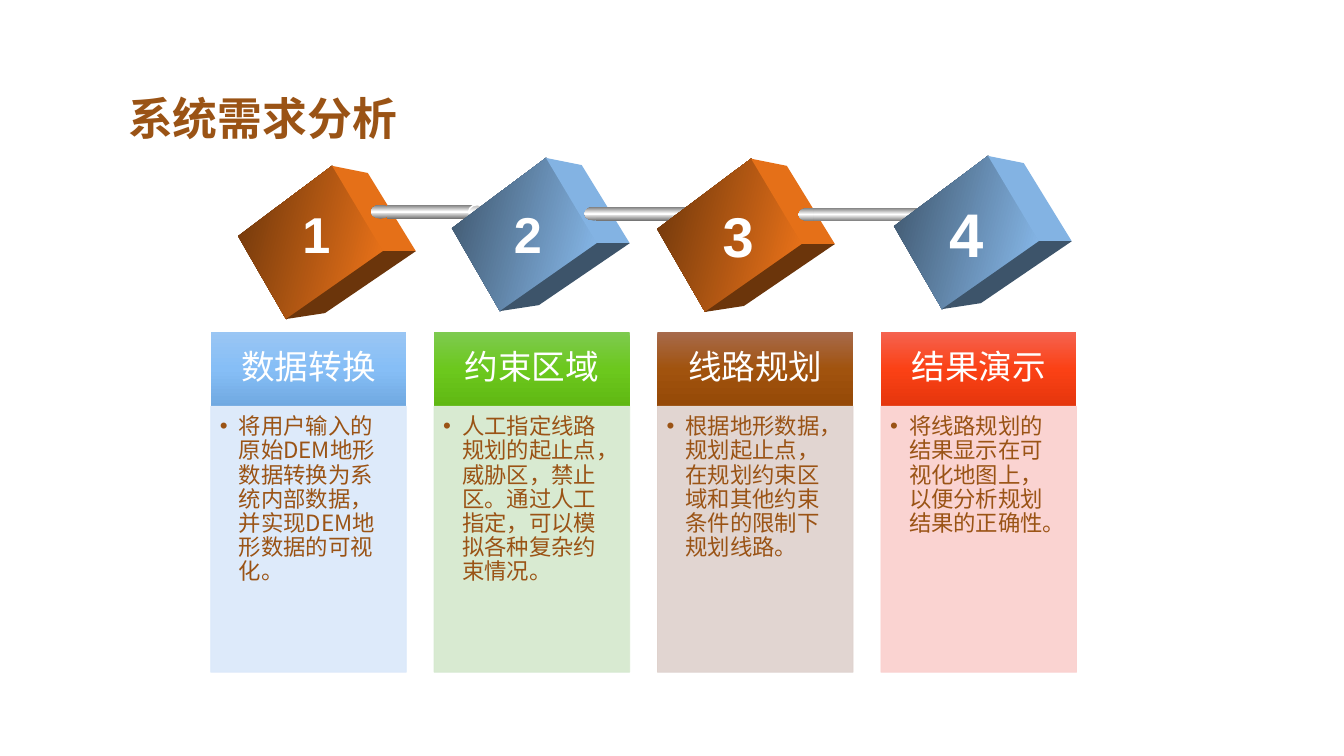
from lxml import etree
from pptx import Presentation
from pptx.dml.color import RGBColor
from pptx.enum.shapes import MSO_SHAPE as Shape
from pptx.enum.text import MSO_ANCHOR as Anchor, PP_ALIGN as Align
from pptx.oxml import parse_xml
from pptx.oxml.ns import nsdecls, qn
from pptx.util import Cm, Pt

BROWN, WHITE = "9A5315", "FFFFFF"
CJK = "Noto Sans CJK SC"
STEEL = ["767676", WHITE, "767676"]
SILVER = ["B6B6B6", WHITE, "B6B6B6"]

# Cube faces in hundredths of a centimetre, for the first cube
FRONT = [(600, 595), (837, 418), (965, 633), (721, 804)]
SIDE = [(837, 418), (927, 436), (1048, 633), (965, 633)]
BASE = [(965, 633), (1048, 633), (819, 789), (721, 804)]
ORANGE = (["6B350B", "F3771A"], "E57018", "6B350B")
BLUE = (["3D546A", "8BBEF1"], "83B3E3", "3D546A")

# Shift of the cube, its colours, then number, size and place of the number
CUBES = [
    ((0, 0), ORANGE, "1", 36, (7.37, 5.0)),
    ((539, -20), BLUE, "2", 36, (12.7, 4.98)),
    ((1056, -18), ORANGE, "3", 40, (17.96, 4.95)),
    ((1653, -25), BLUE, "4", 44, (23.67, 4.8)),
]

# Left, top, cap width, bar left, bar width, end left, end width, hole left
RODS = [
    (9.35, 5.16, 0.48, 9.75, 2.41, 11.81, 0.43, 12.07),
    (14.73, 5.21, 0.48, 15.01, 2.41, 17.2, 0.43, 17.45),
    (20.12, 5.23, 0.63, 20.5, 3.18, 23.37, 0.58, 23.67),
]

CARDS = [
    ("数据转换", ["9AC6F4", "86BEF6", "70A9E1"], "DAE8FA",
     "将用户输入的原始DEM地形数据转换为系统内部数据，并实现DEM地形数据的可视化。"),
    ("约束区域", ["7ECA50", "6CC81D", "60B813"], "D4E8CD",
     "人工指定线路规划的起止点，威胁区，禁止区。通过人工指定，可以模拟各种复杂约束情况。"),
    ("线路规划", ["A76A4C", "A1530E", "954907"], "DED1CC",
     "根据地形数据，规划起止点，在规划约束区域和其他约束条件的限制下规划线路。"),
    ("结果演示", ["F56350", "FB4115", "E5360D"], "FACFCD",
     "将线路规划的结果显示在可视化地图上，以便分析规划结果的正确性。"),
]


def hue(code):
    return RGBColor.from_string(code)


def write(shape, text, size=16, font="Arial", color=BROWN, bold=False,
          align=Align.LEFT, anchor=Anchor.TOP, pad=(0.25, 0.13, 0.25, 0.13),
          lead=None, bullet=False):
    frame = shape.text_frame
    frame.word_wrap = True
    frame.vertical_anchor = anchor
    frame.margin_left, frame.margin_top, frame.margin_right, frame.margin_bottom = map(Cm, pad)
    para = frame.paragraphs[0]
    para.alignment = align
    para.line_spacing = lead
    run = para.add_run()
    run.text = text
    run.font.size, run.font.bold = Pt(size), bold
    run.font.name = font
    run.font.color.rgb = hue(color)
    etree.SubElement(run.font._element, qn("a:ea"), typeface=CJK)
    if bullet:
        props = para._p.get_or_add_pPr()
        props.set("marL", str(Cm(0.48)))
        props.set("indent", str(Cm(-0.48)))
        etree.SubElement(props, qn("a:buFont"), typeface="Arial")
        etree.SubElement(props, qn("a:buChar"), char="•")


class Deck:
    def __init__(self):
        self.prs = Presentation()
        self.prs.slide_width, self.prs.slide_height = Cm(33.87), Cm(19.05)
        self.slide = self.prs.slides.add_slide(self.prs.slide_layouts[6])
        self.shapes = self.slide.shapes

    def paint(self, shape, fill, angle=90, line=None, width=1):
        """Fill with one colour, or with a gradient when given a list."""
        shape.shadow.inherit = False
        if isinstance(fill, list):
            last = len(fill) - 1
            stops = "".join(
                f'<a:gs pos="{100000 * i // last}"><a:srgbClr val="{code}"/></a:gs>'
                for i, code in enumerate(fill))
            grad = parse_xml(
                f'<a:gradFill {nsdecls("a")} rotWithShape="1"><a:gsLst>{stops}</a:gsLst>'
                f'<a:lin ang="{angle * 60000}" scaled="0"/></a:gradFill>')
            props = shape._element.spPr
            geom = props.find(qn("a:prstGeom"))
            if geom is None:
                geom = props.find(qn("a:custGeom"))
            geom.addnext(grad)
        else:
            shape.fill.solid()
            shape.fill.fore_color.rgb = hue(fill)
        if line:
            shape.line.color.rgb = hue(line)
            shape.line.width = Pt(width)
        else:
            shape.line.fill.background()
        return shape

    def block(self, kind, box, fill, **style):
        return self.paint(self.shapes.add_shape(kind, *map(Cm, box)), fill, **style)

    def label(self, box, text, **style):
        write(self.shapes.add_textbox(*map(Cm, box)), text, **style)

    def face(self, points, shift, fill):
        spots = [(x + shift[0], y + shift[1]) for x, y in points]
        form = self.shapes.build_freeform(*spots[0], scale=Cm(0.01))
        form.add_line_segments(spots[1:], close=True)
        self.paint(form.convert_to_shape(), fill, angle=15)

    def cube(self, shift, fills):
        for points, fill in zip((FRONT, SIDE, BASE), fills):
            self.face(points, shift, fill)

    def rod(self, left, top, cap, bar, length, end, wide, hole):
        high = 0.35
        self.block(Shape.OVAL, (left, top, cap, high), STEEL)
        self.block(Shape.RECTANGLE, (bar, top, length, high), STEEL)
        self.block(Shape.OVAL, (end, top, wide, high), SILVER, line=WHITE)
        self.block(Shape.OVAL, (hole, top + 0.11, 0.13, 0.1), SILVER)

    def card(self, left, head, shades, tint, body):
        top = self.block(Shape.RECTANGLE, (left, 8.36, 4.93, 1.88), shades)
        write(top, head, size=24, font="Cabin", color=WHITE, align=Align.CENTER,
              anchor=Anchor.MIDDLE, pad=(0.48, 0.28, 0.48, 0.28), lead=0.9)
        panel = self.block(Shape.RECTANGLE, (left, 10.24, 4.93, 6.7), tint,
                           line=tint, width=0.5)
        for tone in panel._element.spPr.iter(qn("a:srgbClr")):
            etree.SubElement(tone, qn("a:alpha"), val="90000")
        write(panel, body, font=CJK, pad=(0.23, 0.23, 0.3, 0.36), lead=0.9, bullet=True)


def main():
    deck = Deck()

    # Chain of cubes: each rod lies over one cube and under the next
    for i, (shift, fills, *_) in enumerate(CUBES):
        deck.cube(shift, fills)
        if i < len(RODS):
            deck.rod(*RODS[i])

    # Numbers
    for _, _, text, size, spot in CUBES:
        deck.label((*spot, 1.5, 1.9), text, size=size, color=WHITE, bold=True)

    # Title
    deck.label((2.95, 2.16, 7.34, 1.63), "系统需求分析", size=32, bold=True,
               align=Align.CENTER)

    # Cards
    for i, card in enumerate(CARDS):
        deck.card(5.31 + 5.63 * i, *card)

    deck.prs.save("out.pptx")


if __name__ == "__main__":
    main()
